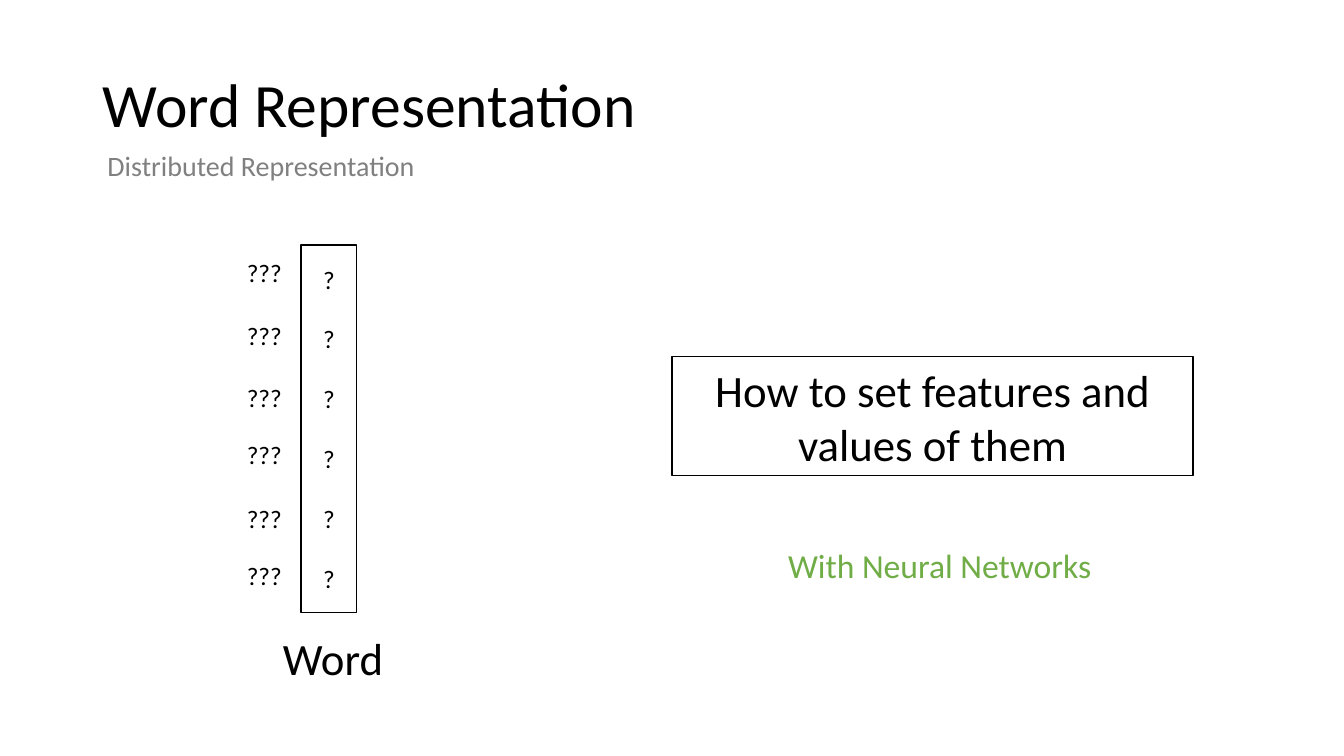
from pptx import Presentation
from pptx import util as u
from pptx.dml.color import RGBColor
from pptx.enum import shapes, text

COLORS = {"ink": "000000", "paper": "FFFFFF", "muted": "808080", "accent": "70AD47"}
FONT = "Calibri"
FEATURE_COUNT = 6
FEATURE_OFFSETS = (0.18, 1.78, 3.35, 4.78, 6.4, 7.82)  # cm below the column top


def color(name):
    return RGBColor.from_string(COLORS[name])


def write(frame, lines, size, ink="ink", gap=0, align=text.PP_ALIGN.LEFT, **frame_format):
    """Fill a text frame, one paragraph per line, with a gap in points between them."""
    for name, value in frame_format.items():
        setattr(frame, name, value)
    for index, line in enumerate(lines):
        paragraph = frame.add_paragraph() if index else frame.paragraphs[0]
        paragraph.alignment = align
        if index and gap:
            paragraph.space_before = u.Pt(gap)
        run = paragraph.add_run()
        run.text = line
        for name, value in {"name": FONT, "size": u.Pt(size)}.items():
            setattr(run.font, name, value)
        run.font.color.rgb = color(ink)


def add_label(slide, box, words, size, ink="ink"):
    label = slide.shapes.add_textbox(*map(u.Cm, box))
    write(label.text_frame, [words], size, ink, word_wrap=False)


def add_outlined_box(slide, box, lines, size, gap=0):
    outlined = slide.shapes.add_shape(shapes.MSO_SHAPE.RECTANGLE, *map(u.Cm, box))
    outlined.shadow.inherit = False
    outlined.fill.solid()
    outlined.fill.fore_color.rgb = color("paper")
    outlined.line.color.rgb = color("ink")
    outlined.line.width = u.Pt(1)
    write(outlined.text_frame, lines, size, gap=gap, align=text.PP_ALIGN.CENTER,
          word_wrap=True, vertical_anchor=text.MSO_ANCHOR.MIDDLE)


def add_heading(slide, left, top, width, height):
    title = slide.shapes.title
    place = {"left": left, "top": top, "width": width, "height": height}
    for name, value in place.items():
        setattr(title, name, u.Cm(value))
    write(title.text_frame, ["Word Representation"], 44,
          vertical_anchor=text.MSO_ANCHOR.MIDDLE, auto_size=text.MSO_AUTO_SIZE.NONE)
    add_label(slide, (left + 0.12, top + 2.85, 8.33, 1.12),
              "Distributed Representation", 20, "muted")


def add_word_vector(slide, left, top, width, height):
    # Vector of unknown values
    add_outlined_box(slide, (left, top, width, height), ["?"] * FEATURE_COUNT, 18, gap=21.2)
    # Unknown feature names beside it
    for offset in FEATURE_OFFSETS:
        add_label(slide, (left - 1.62, top + offset, 1.4, 1.02), "???", 18)
    add_label(slide, (left - 0.71, top + height + 0.33, 3.07, 1.63), "Word", 32)


def add_question(slide, left, top, width, height):
    add_outlined_box(slide, (left, top, width, height),
                     ["How to set features and values of them"], 32)
    # Answer below the question
    add_label(slide, (left + 2.67, top + height + 1.62, 8.23, 1.27),
              "With Neural Networks", 24, "accent")


def main():
    deck = Presentation()
    deck.slide_width, deck.slide_height = u.Cm(33.87), u.Cm(19.05)
    slide = deck.slides.add_slide(deck.slide_layouts.get_by_name("Title Only"))
    add_heading(slide, 2.34, 0.76, 29.21, 3.68)
    add_word_vector(slide, 7.59, 6.17, 1.4, 9.27)
    add_question(slide, 16.94, 8.99, 13.13, 3)
    deck.save("out.pptx")


if __name__ == "__main__":
    main()
